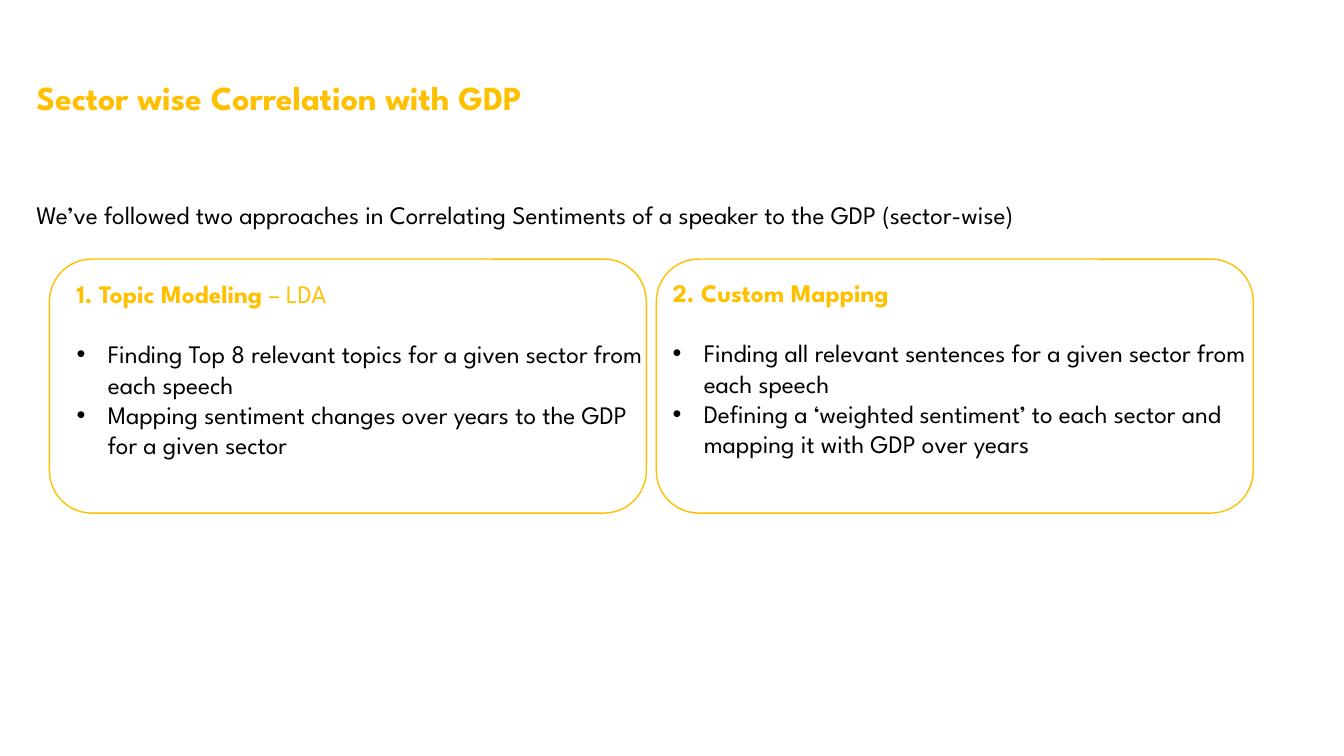
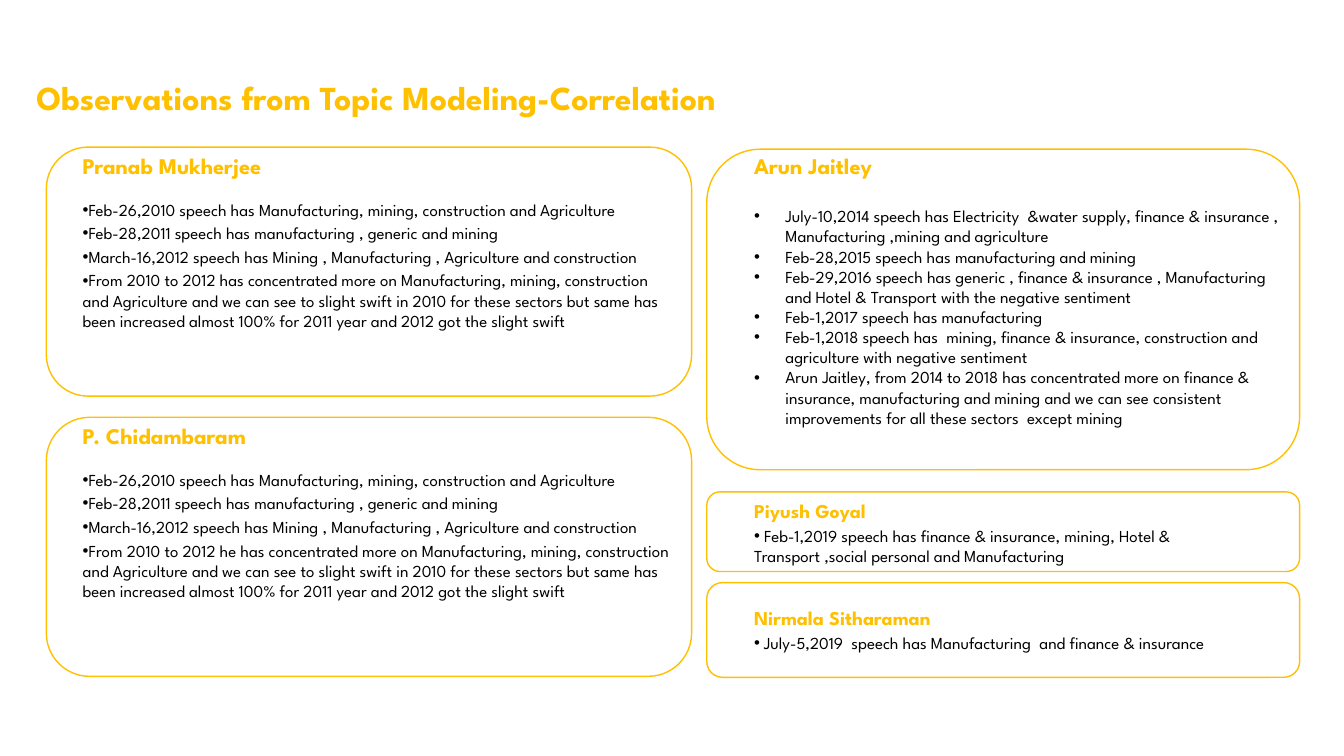
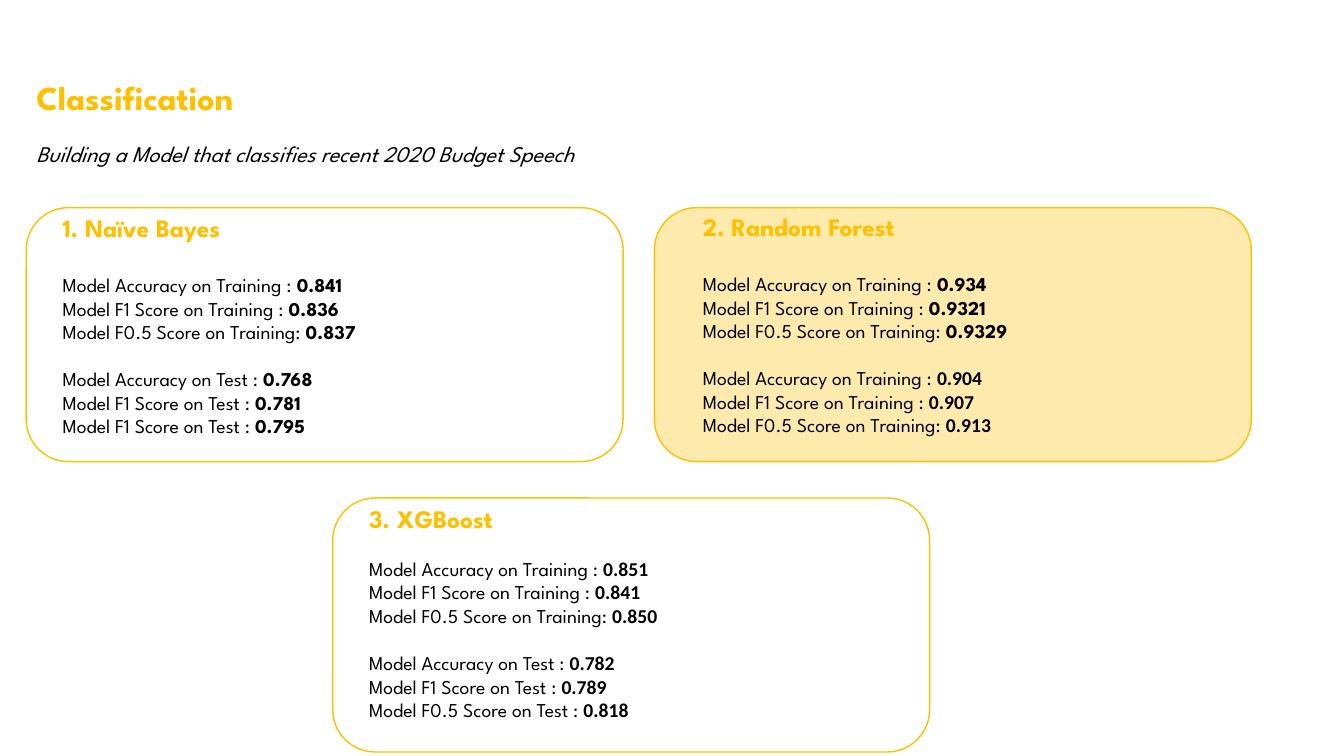
"""Build three slides on budget speech sentiment, GDP and classification."""
import lxml.etree
import pptx
import pptx.dml.color
import pptx.enum.shapes
import pptx.enum.text
import pptx.oxml.ns
import pptx.util

Inches = pptx.util.Inches
Pt = pptx.util.Pt
qn = pptx.oxml.ns.qn

COLORS = {"accent": "FFC000", "ink": "000000"}
FONT = "League Spartan"
VALUE_FONT = "Calibri"
LINE_RATIO = 1.2
TITLE_BOX = (0.26, 0.51, 10.17, 0.63)
HANGING = 0.31
ITEM_GAP = 2.5
COMPARISON_LAYOUT = 4


def color(name):
    return pptx.dml.color.RGBColor.from_string(COLORS[name])


def style(size, tone="ink", bold=False, italic=False, name=FONT):
    return {"size": size, "tone": tone, "bold": bold, "italic": italic, "name": name}


def paragraph(*spans, before=0, spacing=1.0, bullet=False, indent=0):
    return {"spans": spans, "before": before, "spacing": spacing,
            "bullet": bullet, "indent": indent}


def heading(text, size):
    return paragraph((text, style(size, "accent", bold=True)))


def bullets(texts, size, first_gap, gap=0, indent=0):
    return [paragraph((text, style(size)), before=gap if index else first_gap,
                      bullet=True, indent=indent)
            for index, text in enumerate(texts)]


def set_bullet(para, bullet, indent):
    properties = para._p.get_or_add_pPr()
    properties.set("marL", str(Inches(indent)))
    properties.set("indent", str(-Inches(indent)))
    if bullet:
        lxml.etree.SubElement(properties, qn("a:buFont")).set("typeface", "Arial")
        lxml.etree.SubElement(properties, qn("a:buChar")).set("char", "•")
    else:
        lxml.etree.SubElement(properties, qn("a:buNone"))


def write(box, area, paragraphs, margin_right=0.1):
    for name, length in zip(("left", "top", "width", "height"), area):
        setattr(box, name, Inches(length))
    frame = box.text_frame
    settings = {
        "word_wrap": True,
        "auto_size": pptx.enum.text.MSO_AUTO_SIZE.NONE,
        "vertical_anchor": pptx.enum.text.MSO_ANCHOR.TOP,
        "margin_right": Inches(margin_right),
    }
    for name, value in settings.items():
        setattr(frame, name, value)
    for index, content in enumerate(paragraphs):
        para = frame.add_paragraph() if index else frame.paragraphs[0]
        set_bullet(para, content["bullet"], content["indent"])
        para.alignment = pptx.enum.text.PP_ALIGN.LEFT
        para.space_before = Pt(content["before"])
        para.line_spacing = content["spacing"]
        for text, look in content["spans"]:
            span = para.add_run()
            span.text = text
            for name in ("name", "bold", "italic"):
                setattr(span.font, name, look[name])
            span.font.size = Pt(look["size"])
            span.font.color.rgb = color(look["tone"])


def start_page(deck, title):
    page = deck.slides.add_slide(deck.slide_layouts[COMPARISON_LAYOUT])
    write(page.shapes.title, TITLE_BOX,
          [paragraph((title, style(24, "accent", bold=True)), spacing=1.5)])
    bodies = [box for box in page.placeholders if box.placeholder_format.idx]
    return page, bodies


def take_body(page, bodies):
    return bodies.pop(0) if bodies else page.shapes.add_textbox(0, 0, 0, 0)


def add_card(page, bodies, area, offset, text_size, paragraphs, alpha=None, margin_right=0.1):
    left, top = area[:2]
    box = take_body(page, bodies)
    write(box, (left + offset[0], top + offset[1], *text_size), paragraphs, margin_right)
    card = page.shapes.add_shape(pptx.enum.shapes.MSO_SHAPE.ROUNDED_RECTANGLE,
                                 *(Inches(length) for length in area))
    card.shadow.inherit = False
    card.line.color.rgb = color("accent")
    card.line.width = Pt(1)
    if alpha is None:
        card.fill.background()
    else:
        card.fill.solid()
        card.fill.fore_color.rgb = color("accent")
        tint = card.element.spPr.find(qn("a:solidFill"))[0]
        lxml.etree.SubElement(tint, qn("a:alpha")).set("val", str(alpha * 1000))
    box.element.addprevious(card.element)


def drop_empty(bodies):
    for box in bodies:
        box.element.getparent().remove(box.element)


def build_approaches(deck):
    page, bodies = start_page(deck, "Sector wise Correlation with GDP")
    intro = ("We’ve followed two approaches in Correlating Sentiments of a speaker "
             "to the GDP (sector-wise)")
    write(take_body(page, bodies), (0.26, 1.93, 11.88, 0.4), [paragraph((intro, style(18)))])
    topic = paragraph(("1. Topic Modeling ", style(18, "accent", bold=True)),
                      ("– LDA", style(18, "accent")))
    cards = [
        (0.49, (0.17, 0.14), topic, [
            "Finding Top 8 relevant topics for a given sector from each speech",
            "Mapping sentiment changes over years to the GDP for a given sector"]),
        (6.51, (0.06, 0.13), heading("2. Custom Mapping", 18), [
            "Finding all relevant sentences for a given sector from each speech",
            "Defining a ‘weighted sentiment’ to each sector and mapping it with GDP over years"]),
    ]
    for left, offset, head, items in cards:
        add_card(page, bodies, (left, 2.57, 5.92, 2.52), offset, (5.91, 2.52),
                 [head, *bullets(items, 18, 18 * LINE_RATIO, indent=HANGING)])
    drop_empty(bodies)


def build_observations(deck):
    page, bodies = start_page(deck, "Observations from Topic Modeling-Correlation")
    early_cards = [("Pranab Mukherjee", "has", 1.46, 2.47), ("P. Chidambaram", "he has", 4.14, 2.57)]
    for speaker, verb, top, height in early_cards:
        items = [
            "Feb-26,2010 speech has Manufacturing, mining, construction and Agriculture",
            "Feb-28,2011 speech has manufacturing , generic and mining",
            "March-16,2012 speech has Mining , Manufacturing , Agriculture and construction",
            f"From 2010 to 2012 {verb} concentrated more on Manufacturing, mining, construction "
            "and Agriculture and we can see to slight swift in 2010 for these sectors but same "
            "has been increased almost 100% for 2011 year and 2012 got the slight swift"]
        add_card(page, bodies, (0.46, top, 6.4, height), (0.26, 0), (6.04, 2.47),
                 [heading(speaker, 16), *bullets(items, 12, 12 * LINE_RATIO, ITEM_GAP)])
    items = [
        "July-10,2014 speech has Electricity  &water supply, finance & insurance , "
        "Manufacturing ,mining and agriculture",
        "Feb-28,2015 speech has manufacturing and mining",
        "Feb-29,2016 speech has generic , finance & insurance , Manufacturing and "
        "Hotel & Transport with the negative sentiment",
        "Feb-1,2017 speech has manufacturing",
        "Feb-1,2018 speech has  mining, finance & insurance, construction and agriculture "
        "with negative sentiment",
        "Arun Jaitley, from 2014 to 2018 has concentrated more on finance & insurance, "
        "manufacturing and mining and we can see consistent improvements for all these "
        "sectors  except mining"]
    add_card(page, bodies, (7.01, 1.48, 5.88, 3.18), (0.37, -0.02), (5.51, 3.26),
             [heading("Arun Jaitley", 16),
              *bullets(items, 12, 16 * LINE_RATIO, indent=HANGING)])
    late_cards = [
        ("Piyush Goyal", 4.88, 0.79, 0.02, (5.36, 0.77), 0.5,
         " Feb-1,2019 speech has finance & insurance, mining, Hotel & Transport "
         ",social personal and Manufacturing"),
        ("Nirmala Sitharaman", 5.78, 0.94, 0.18, (5.65, 0.87), 0.1,
         " July-5,2019  speech has Manufacturing  and finance & insurance"),
    ]
    for speaker, top, height, drop, text_size, margin, item in late_cards:
        add_card(page, bodies, (7.01, top, 5.88, height), (0.37, drop), text_size,
                 [heading(speaker, 14), *bullets([item], 12, ITEM_GAP)], margin_right=margin)
    drop_empty(bodies)


def scores(groups, first_gap):
    lines = []
    for labels, values, name in groups:
        for index, (label, value) in enumerate(zip(labels, values)):
            gap = 0 if index else 14 * LINE_RATIO if lines else first_gap
            lines.append(paragraph((label, style(14)),
                                   (value, style(14, bold=True, name=name)), before=gap))
    return lines


def build_classification(deck):
    page, bodies = start_page(deck, "Classification")
    intro = "Building a Model that classifies recent 2020 Budget Speech"
    write(take_body(page, bodies), (0.26, 1.34, 12.88, 0.37),
          [paragraph((intro, style(16, italic=True)))])
    training = ["Model Accuracy on Training : ", "Model F1 Score on Training : ",
                "Model F0.5 Score on Training: "]
    test = ["Model Accuracy on Test : ", "Model F1 Score on Test : "]
    models = [
        ("1. Naïve Bayes", (0.26, 2.06), (0.26, 0), (5.66, 2.89), 18, None, [
            (training, ["0.841", "0.836", "0.837"], FONT),
            (test + test[1:], ["0.768", "0.781", "0.795"], FONT)]),
        ("2. Random Forest", (6.49, 2.06), (0.38, -0.01), (5.69, 2.59), 18, 32, [
            (training, ["0.934", "0.9321", "0.9329"], FONT),
            (training, ["0.904", "0.907", "0.913"], VALUE_FONT)]),
        ("3. XGBoost", (3.3, 4.94), (0.26, 0), (5.66, 2.52), 14, None, [
            (training, ["0.851", "0.841", "0.850"], VALUE_FONT),
            (test + ["Model F0.5 Score on Test : "], ["0.782", "0.789", "0.818"], VALUE_FONT)]),
    ]
    for model, corner, offset, text_size, gap_size, alpha, groups in models:
        add_card(page, bodies, (*corner, 5.92, 2.52), offset, text_size,
                 [heading(model, 18), *scores(groups, gap_size * LINE_RATIO)], alpha)
    drop_empty(bodies)


def main():
    deck = pptx.Presentation()
    deck.slide_width = Inches(13.33)
    deck.slide_height = Inches(7.5)
    for build in (build_approaches, build_observations, build_classification):
        build(deck)
    deck.save("out.pptx")


if __name__ == "__main__":
    main()
